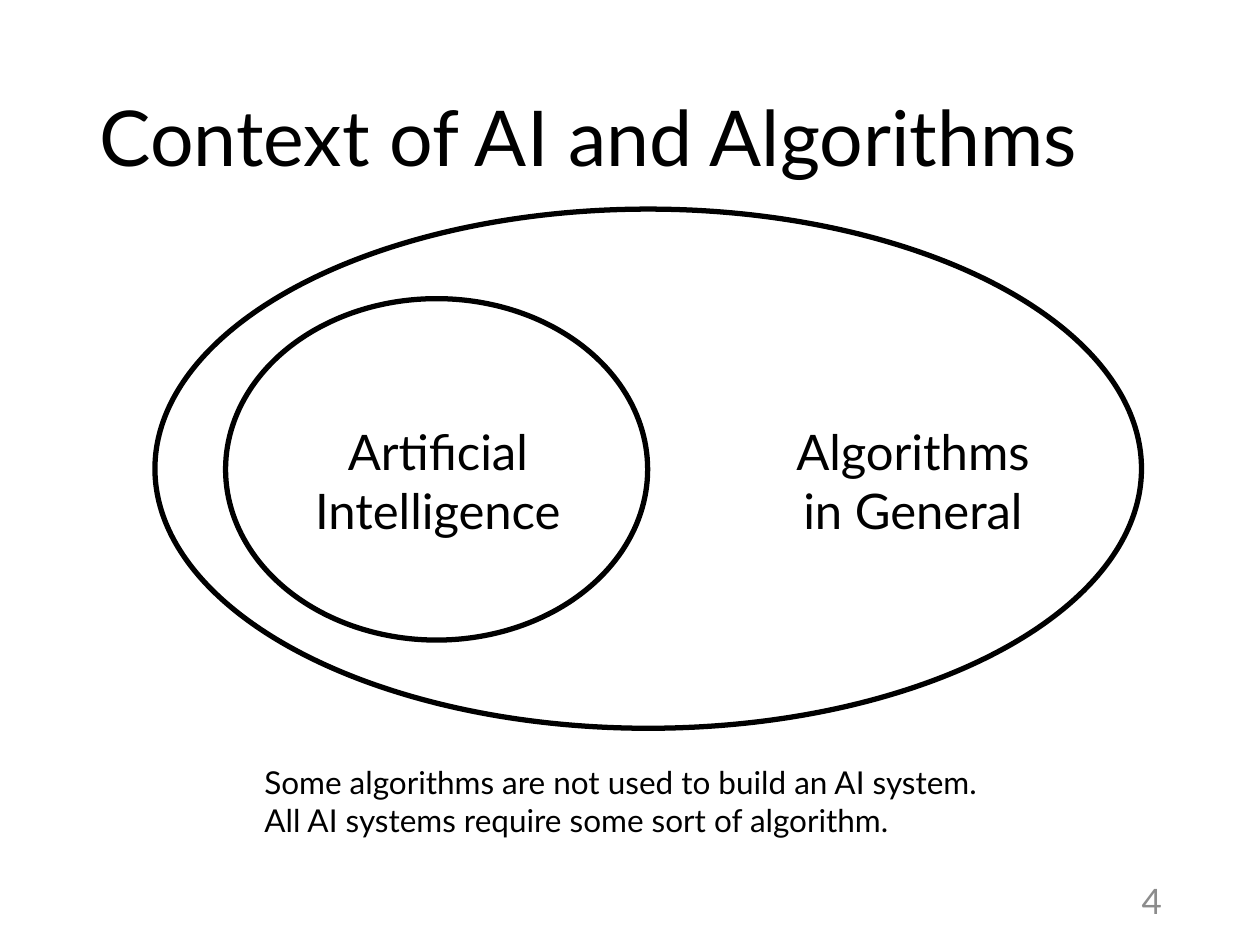
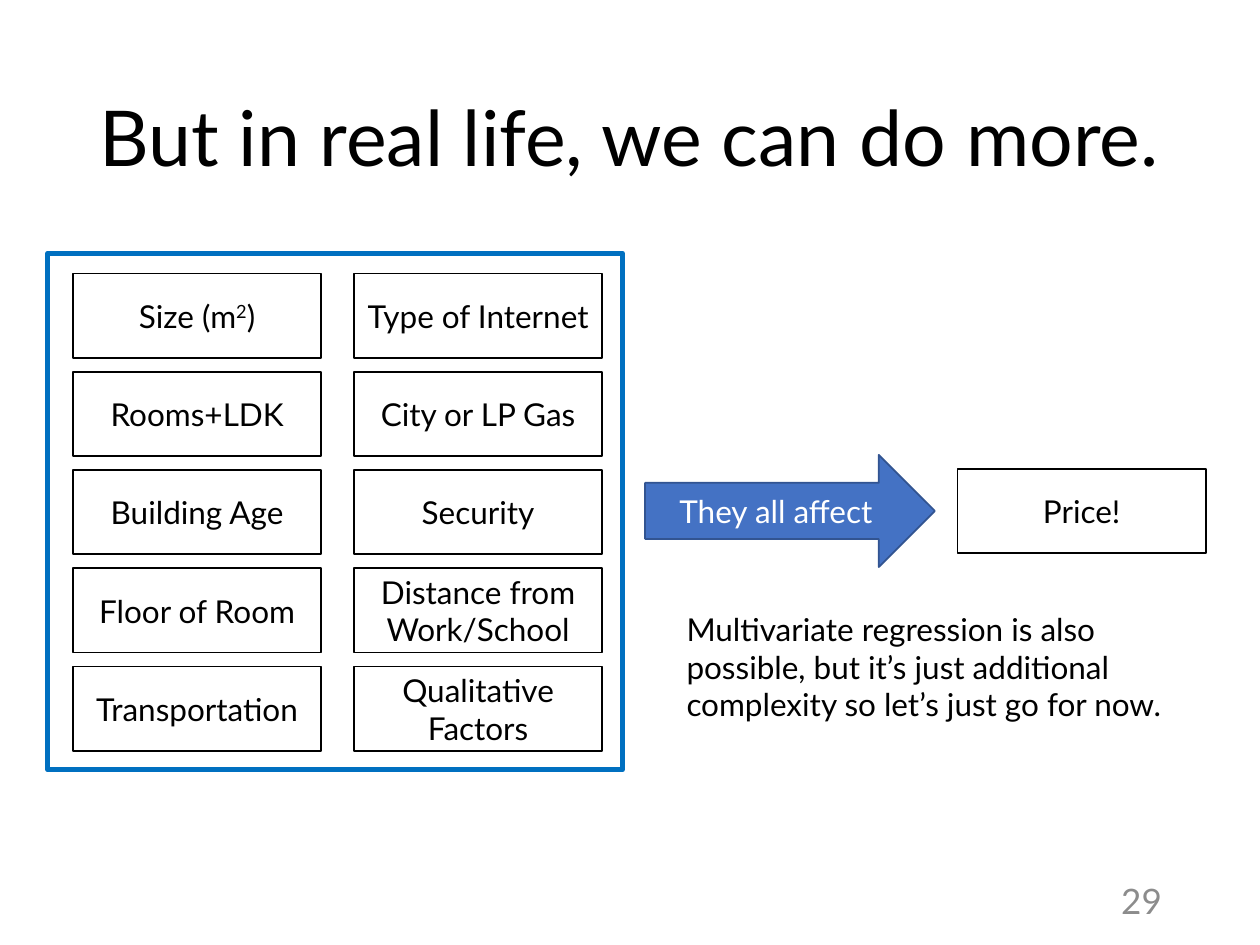
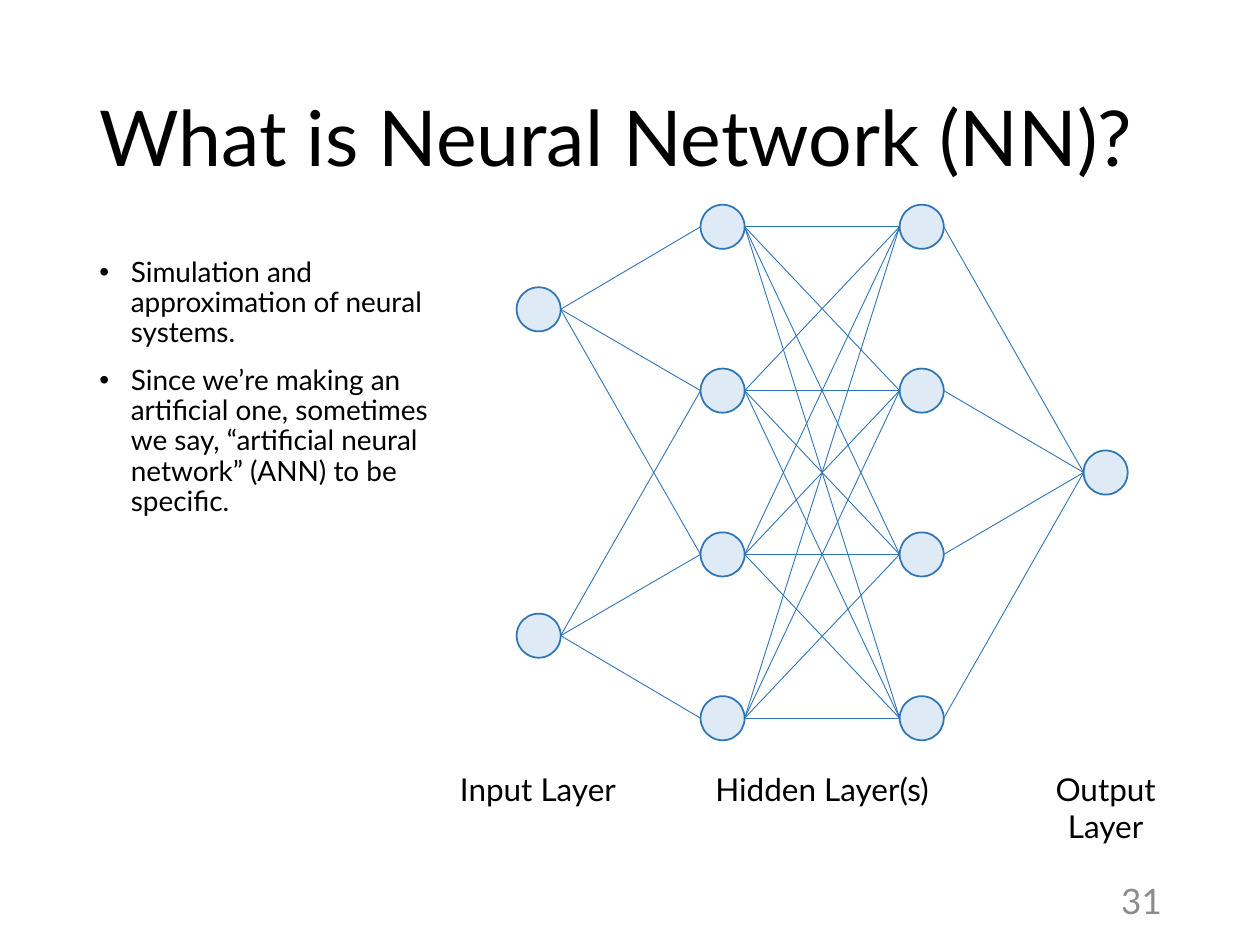
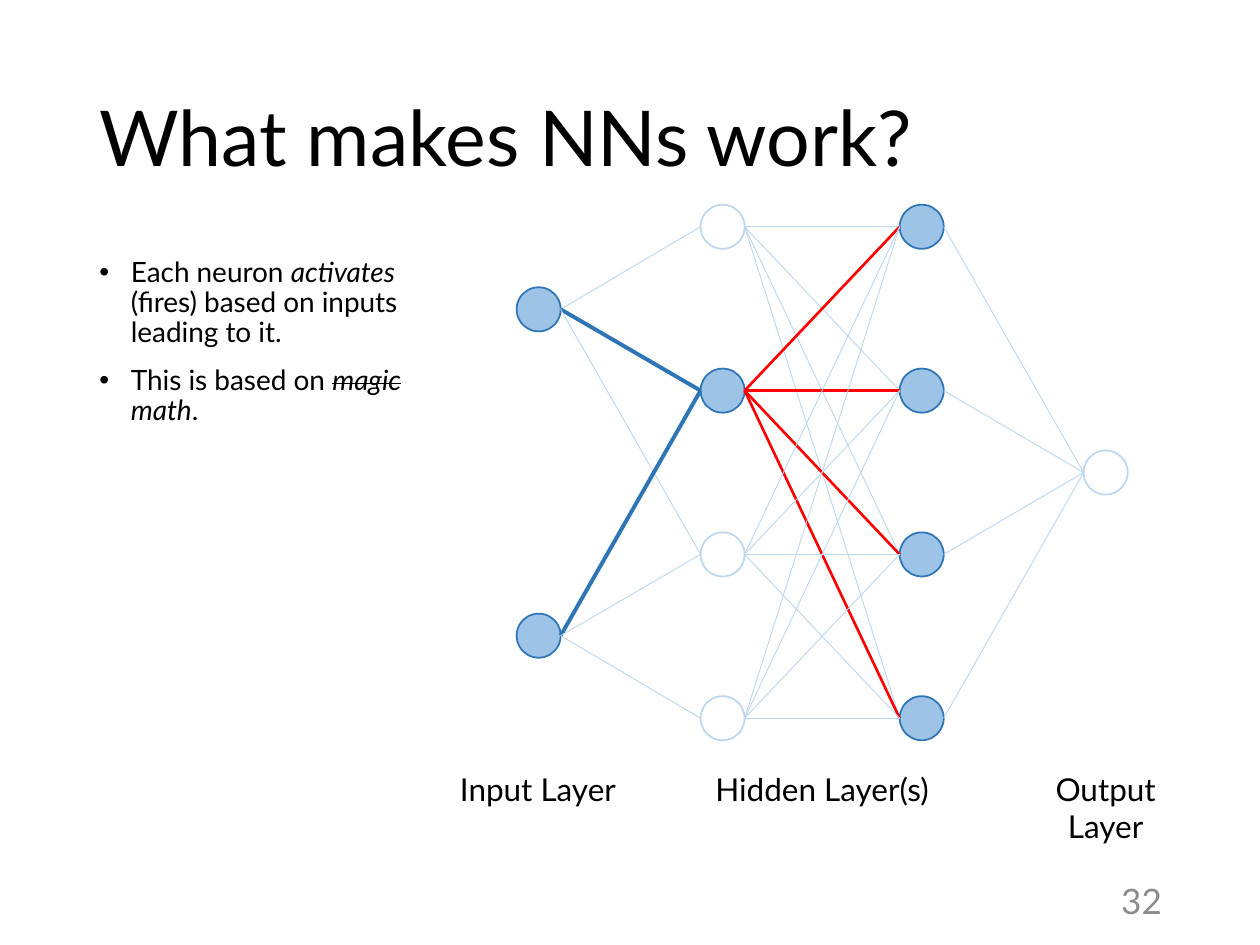
"""Build four slides on AI, multivariate regression and neural networks."""
from lxml import etree
from pptx import Presentation
from pptx import util as u
from pptx.dml.color import RGBColor
from pptx.enum import shapes, text
from pptx.oxml.ns import qn

COLORS = {
    "ink": "000000", "paper": "FFFFFF", "number": "8C8C8C", "frame": "0070C0",
    "arrow": "4472C4", "arrow_edge": "325491", "neuron": "DEEBF7",
    "active": "9DC3E6", "edge": "2E75B6", "faint": "BDD7EE", "signal": "FF0000",
}
FONT = "Lato"
ALIGN = text.PP_ALIGN
ANCHOR = text.MSO_ANCHOR


def write(target, paragraphs, size=18, color="ink", align=ALIGN.LEFT, anchor=ANCHOR.TOP,
          wrap=True, grow=False, spacing=None, bullet=False, inset=0.1):
    """Fill a box with paragraphs of plain strings or (string, style names) runs."""
    frame = target.text_frame
    frame.word_wrap = wrap
    frame.auto_size = text.MSO_AUTO_SIZE.SHAPE_TO_FIT_TEXT if grow else text.MSO_AUTO_SIZE.NONE
    frame.vertical_anchor = anchor
    frame.margin_left = frame.margin_right = u.Inches(inset)
    if isinstance(paragraphs, str):
        paragraphs = [[paragraphs]]
    for index, pieces in enumerate(paragraphs):
        paragraph = frame.add_paragraph() if index else frame.paragraphs[0]
        paragraph.alignment = align
        if spacing:
            paragraph.line_spacing = spacing
        if bullet:
            if index:
                paragraph.space_before = u.Pt(10)
            properties = paragraph._p.get_or_add_pPr()
            properties.set("marL", str(u.Inches(0.25)))
            properties.set("indent", str(-u.Inches(0.25)))
            etree.SubElement(properties, qn("a:buFont")).set("typeface", "Arial")
            etree.SubElement(properties, qn("a:buChar")).set("char", "•")
        for piece in pieces:
            words, styles = (piece, "") if isinstance(piece, str) else piece
            run = paragraph.add_run()
            run.text = words
            run.font.name = FONT
            run.font.size = u.Pt(size)
            run.font.color.rgb = RGBColor.from_string(COLORS[color])
            if "italic" in styles:
                run.font.italic = True
            if "strike" in styles:
                run._r.get_or_add_rPr().set("strike", "sngStrike")
            if "super" in styles:
                run._r.get_or_add_rPr().set("baseline", "30000")


def draw(slide, kind, place, fill="paper", line="ink", width=1):
    """Add a preset shape at (left, top, width, height) inches."""
    figure = slide.shapes.add_shape(kind, *map(u.Inches, place))
    figure.shadow.inherit = False
    if fill:
        figure.fill.solid()
        figure.fill.fore_color.rgb = RGBColor.from_string(COLORS[fill])
    else:
        figure.fill.background()
    figure.line.color.rgb = RGBColor.from_string(COLORS[line])
    figure.line.width = u.Pt(width)
    return figure


OVAL = shapes.MSO_SHAPE.OVAL
RECTANGLE = shapes.MSO_SHAPE.RECTANGLE

deck = Presentation()
deck.slide_width, deck.slide_height = u.Inches(10), u.Inches(7.5)

pages = []
for title, number in [
    ("Context of AI and Algorithms", "4"),
    ("But in real life, we can do more.", "29"),
    ("What is Neural Network (NN)?", "31"),
    ("What makes NNs work?", "32"),
]:
    page = deck.slides.add_slide(deck.slide_layouts[6])
    heading = page.shapes.add_textbox(*map(u.Inches, (0.69, 0.4, 8.62, 1.45)))
    write(heading, title, size=44, anchor=ANCHOR.MIDDLE, spacing=0.9)
    page_number = page.shapes.add_textbox(*map(u.Inches, (8.65, 6.95, 0.67, 0.4)))
    write(page_number, number, size=20, color="number", align=ALIGN.RIGHT, anchor=ANCHOR.MIDDLE)
    pages.append(page)
context, regression, network, activation = pages

draw(context, OVAL, (1.23, 1.66, 7.83, 4.12), width=3)
draw(context, OVAL, (1.79, 2.37, 3.35, 2.71), width=3)
for left, field in [(6.14, "Algorithms in General"), (2.37, "Artificial Intelligence")]:
    field_label = context.shapes.add_textbox(*map(u.Inches, (left, 3.3, 2.21, 0.84)))
    write(field_label, field, size=28, align=ALIGN.CENTER, grow=True)
remark = context.shapes.add_textbox(*map(u.Inches, (2, 6.01, 6, 0.71)))
write(remark, [["Some algorithms are not used to build an AI system."],
               ["All AI systems require some sort of algorithm."]], wrap=False, grow=True)

factors = [
    [[["Size (m", ("2", "super"), ")"]], "Rooms+LDK", "Building Age", "Floor of Room",
     "Transportation"],
    ["Type of Internet", "City or LP Gas", "Security", "Distance from Work/School",
     "Qualitative Factors"],
]
for column, names in enumerate(factors):
    for row, name in enumerate(names):
        factor = draw(regression, RECTANGLE, (0.58 + 2.23 * column, 2.17 + 0.78 * row, 1.97, 0.67))
        write(factor, name, align=ALIGN.CENTER, anchor=ANCHOR.MIDDLE)
draw(regression, RECTANGLE, (0.38, 2.01, 4.56, 4.1), fill=None, line="frame", width=3)
effect = draw(regression, shapes.MSO_SHAPE.RIGHT_ARROW, (5.12, 3.61, 2.3, 0.89),
              fill="arrow", line="arrow_edge")
write(effect, "They all affect", color="paper", align=ALIGN.CENTER, anchor=ANCHOR.MIDDLE)
price = draw(regression, RECTANGLE, (7.6, 3.72, 1.97, 0.67))
write(price, "Price!", align=ALIGN.CENTER, anchor=ANCHOR.MIDDLE)
aside = regression.shapes.add_textbox(*map(u.Inches, (5.35, 4.79, 4.21, 1.01)))
write(aside, "Multivariate regression is also possible, but it’s just additional complexity "
      "so let’s just go for now.", grow=True)

definition = [
    ["Simulation and approximation of neural systems."],
    ["Since we’re making an artificial one, sometimes we say, “artificial neural network” "
     "(ANN) to be specific."],
]
mechanism = [
    ["Each neuron ", ("activates", "italic"), " (fires) based on inputs leading to it."],
    ["This is based on ", ("magic ", "italic strike"), ("math", "italic"), "."],
]
NEURON = 0.35
MIDDLE = 3.75
layers = [(4.1, 2, 2.59), (5.56, 4, 1.3), (7.14, 4, 1.3), (8.6, 1, 0)]
centers = [[MIDDLE + (i - (count - 1) / 2) * pitch for i in range(count)]
           for _, count, pitch in layers]
input_links = {0: (0, 1, 2), 1: (1, 2, 3)}
active_neurons = {(0, 0), (0, 1), (1, 1), (2, 0), (2, 1), (2, 2), (2, 3)}
layer_labels = [("Input Layer", 3.55, 1.44, False, 0.1),
                ("Hidden Layer(s)", 5.56, 1.93, False, 0.1),
                ("Output Layer", 7.95, 1.65, True, 0.25)]

for page, points, firing in [(network, definition, False), (activation, mechanism, True)]:
    body = page.shapes.add_textbox(*map(u.Inches, (0.69, 2, 2.88, 4.76)))
    write(body, points, size=16, spacing=0.9, bullet=True)

    for layer, (left, _, _) in enumerate(layers):
        for i, center in enumerate(centers[layer]):
            fill, line = "neuron", "edge"
            if firing:
                fill, line = ("active", "edge") if (layer, i) in active_neurons else ("paper", "faint")
            draw(page, OVAL, (left, center - NEURON / 2, NEURON, NEURON), fill, line)

    for layer in range(len(layers) - 1):
        start_x, end_x = layers[layer][0] + NEURON, layers[layer + 1][0]
        for i, start_y in enumerate(centers[layer]):
            for j, end_y in enumerate(centers[layer + 1]):
                if layer == 0 and j not in input_links[i]:
                    continue
                color, width = "faint" if firing else "edge", 0.5
                if firing and layer == 0 and j == 1:
                    color, width = "edge", 2.25
                elif firing and layer == 1 and i == 1:
                    color, width = "signal", 1.5
                link = page.shapes.add_connector(
                    shapes.MSO_CONNECTOR.STRAIGHT, *map(u.Inches, (start_x, start_y, end_x, end_y)))
                link.line.color.rgb = RGBColor.from_string(COLORS[color])
                link.line.width = u.Pt(width)
                etree.SubElement(link._element.spPr, qn("a:effectLst"))

    for name, left, width, wrap, inset in layer_labels:
        layer_label = page.shapes.add_textbox(*map(u.Inches, (left, 6.06, width, 0.4)))
        write(layer_label, name, align=ALIGN.CENTER, wrap=wrap, grow=True, inset=inset)

deck.save("out.pptx")
